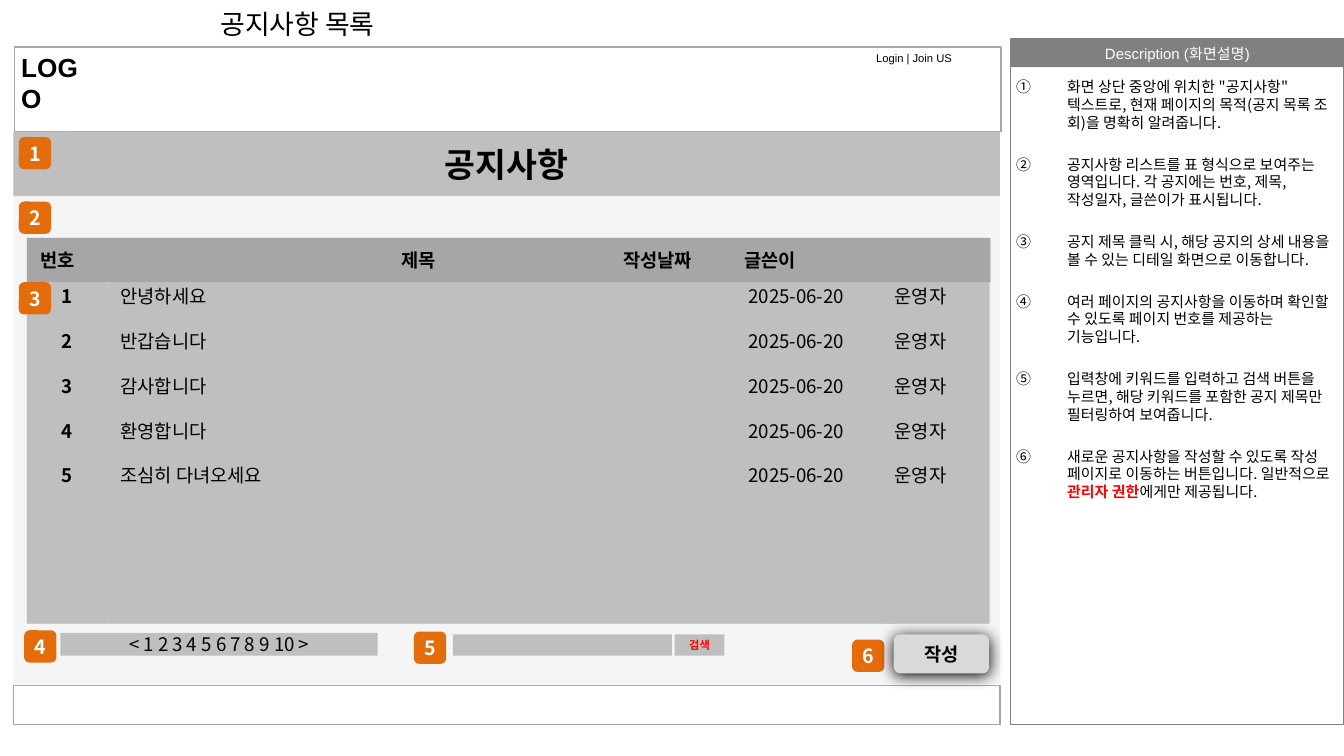
import pptx
import pptx.util
import pptx.dml.color
import pptx.enum.shapes
import pptx.enum.text
import pptx.oxml.ns
import lxml.etree

PX = 9144
KR = "Noto Sans CJK KR"
RECT = pptx.enum.shapes.MSO_SHAPE.RECTANGLE
ROUND = pptx.enum.shapes.MSO_SHAPE.ROUNDED_RECTANGLE
LEFT, CENTER = pptx.enum.text.PP_ALIGN.LEFT, pptx.enum.text.PP_ALIGN.CENTER
TOP, MIDDLE = pptx.enum.text.MSO_ANCHOR.TOP, pptx.enum.text.MSO_ANCHOR.MIDDLE

NOTICES = ["안녕하세요", "반갑습니다", "감사합니다", "환영합니다", "조심히 다녀오세요"]
DESCRIPTIONS = [
    ["화면 상단 중앙에 위치한 \"공지사항\" 텍스트로, 현재 페이지의 목적(공지 목록 조회)을 명확히 알려줍니다."],
    ["공지사항 리스트를 표 형식으로 보여주는 영역입니다. 각 공지에는 번호, 제목, 작성일자, 글쓴이가 표시됩니다."],
    ["공지 제목 클릭 시, 해당 공지의 상세 내용을 볼 수 있는 디테일 화면으로 이동합니다."],
    ["여러 페이지의 공지사항을 이동하며 확인할 수 있도록 페이지 번호를 제공하는 기능입니다."],
    ["입력창에 키워드를 입력하고 검색 버튼을 누르면, 해당 키워드를 포함한 공지 제목만 필터링하여 보여줍니다."],
    ["새로운 공지사항을 작성할 수 있도록 작성 페이지로 이동하는 버튼입니다. 일반적으로 ",
     "관리자 권한", "에게만 제공됩니다."],
]


def px(n):
    """Turn px into EMU."""
    return pptx.util.Emu(n * PX)


def rgb(value):
    """Turn a hex string into a colour."""
    return pptx.dml.color.RGBColor.from_string(value)


def sub(parent, tag, **attrs):
    """Append a DrawingML element with attributes."""
    el = lxml.etree.SubElement(parent, pptx.oxml.ns.qn(tag))
    for key, value in attrs.items():
        el.set(key, str(value))
    return el


def add_run(p, text, size, color="000000", bold=False, font=KR):
    """Add one formatted run."""
    r = p.add_run()
    r.text = text
    r.font.size, r.font.bold, r.font.name = pptx.util.Pt(size), bold, font
    r.font.color.rgb = rgb(color)
    sub(r.font._element, "a:ea", typeface=font)


def frame(sp, anchor=MIDDLE, margins=(10, 5, 10, 5), wrap=True):
    """Format a text frame and return it."""
    tf = sp.text_frame
    tf.word_wrap, tf.vertical_anchor = wrap, anchor
    tf.margin_left, tf.margin_top, tf.margin_right, tf.margin_bottom = map(px, margins)
    return tf


def box(s, x, y, w, h, fill=None, line=None, alpha=None, kind=RECT):
    """Add a flat preset shape."""
    sp = s.shapes.add_shape(kind, px(x), px(y), px(w), px(h))
    sp.shadow.inherit = False
    if fill:
        sp.fill.solid()
        sp.fill.fore_color.rgb = rgb(fill)
        if alpha:
            sub(sp.fill._xPr.find(".//" + pptx.oxml.ns.qn("a:srgbClr")), "a:alpha", val=alpha * 1000)
    else:
        sp.fill.background()
    if line:
        sp.line.color.rgb = rgb(line)
        sp.line.width = pptx.util.Pt(0.75)
    else:
        sp.line.fill.background()
    return sp


def write(sp, text, size, align=CENTER, margins=(10, 5, 10, 5), **style):
    """Write one middle-anchored line in a shape and return its paragraph."""
    p = frame(sp, margins=margins).paragraphs[0]
    p.alignment = align
    add_run(p, text, size, **style)
    return p


def badge(s, x, y, number):
    """Add a numbered orange marker."""
    sp = box(s, x, y, 24, 24, "E46C0A", kind=ROUND)
    write(sp, str(number), 10.5, margins=(0, 5, 0, 5), color="FFFFFF", bold=True)


def label(s, x, y, w, h, text, size, wrap, bold=False):
    """Add a small Arial text box."""
    sp = s.shapes.add_textbox(px(x), px(y), px(w), px(h))
    add_run(frame(sp, TOP, wrap=wrap).paragraphs[0], text, size, bold=bold, font="Arial")


def place_title(s, x, y, w, h):
    """Place the slide title."""
    sp = s.shapes.title
    sp.left, sp.top, sp.width, sp.height = map(px, (x, y, w, h))
    write(sp, "공지사항 목록", 14.4, LEFT)


def page_header(s, x, y, w):
    """Draw the site header and the page heading bar."""
    box(s, x, y, w, 63, "FFFFFF", "A6A6A6", 70)
    label(s, x - 5, y - 2, 74, 34, "LOGO", 14, True, bold=True)
    label(s, x + 631, y - 2, 78, 20, "Login | Join US", 6, False)
    write(box(s, x - 1, y + 63, w, 48, "BFBFBF"), "공지사항", 18, bold=True)
    badge(s, x + 3, y + 67, 1)


def notice_column(s, x, y, w, h, values, align=LEFT, bold=False):
    """Draw one list column with evenly spaced rows."""
    sp = box(s, x, y, w, h, "BFBFBF")
    tf = frame(sp, TOP, (10, 2, 10, 0))
    for i, value in enumerate(values):
        p = tf.paragraphs[0] if i == 0 else tf.add_paragraph()
        p.alignment = align
        p.space_after = pptx.util.Pt(12)
        add_run(p, value, 10, bold=bold)


def notice_list(s, x, y, w, h):
    """Draw the notice list with its heading row."""
    box(s, x, y, w, h, "D9D9D9")
    head = write(box(s, x, y, w, 33, "A6A6A6"),
                 "번호\t제목\t작성날짜\t글쓴이", 10, LEFT, bold=True)
    tabs = sub(head._p.get_or_add_pPr(), "a:tabLst")
    for pos in (269, 434, 524):
        sub(tabs, "a:tab", pos=px(pos), algn="l")
    n = len(NOTICES)
    top, depth = y + 33, h - 33
    notice_column(s, x, top, 60, depth, [str(i + 1) for i in range(n)], CENTER, True)
    notice_column(s, x + 60, top, 467, depth, NOTICES)
    notice_column(s, x + 527, top, 118, depth, ["2025-06-20"] * n)
    notice_column(s, x + 636, top, 80, depth, ["운영자"] * n)
    badge(s, x - 6, y - 27, 2)
    badge(s, x - 6, top, 3)


def list_controls(s, x, y):
    """Draw paging, search and the write button."""
    badge(s, x, y, 4)
    write(box(s, x + 27, y + 2, 236, 17, "BFBFBF"), "< 1 2 3 4 5 6 7 8 9 10 >", 10)
    badge(s, x + 290, y + 1, 5)
    box(s, x + 319, y + 3, 163, 16, "BFBFBF")
    write(box(s, x + 484, y + 3, 37, 16, "BFBFBF"), "검색", 6, color="FF0000", bold=True)
    badge(s, x + 616, y + 7, 6)
    button = box(s, x + 647, y + 3, 71, 29, "D9D9D9", kind=ROUND)
    write(button, "작성", 10, bold=True)
    effects = button._element.spPr.find(pptx.oxml.ns.qn("a:effectLst"))
    shadow = sub(effects, "a:outerShdw", blurRad=pptx.util.Pt(8.5), dist=pptx.util.Pt(1),
                 dir=5400000, algn="t", rotWithShape=0)
    sub(shadow, "a:srgbClr", val="000000")


def description_panel(s, x, y, w, h):
    """Draw the numbered screen description."""
    write(box(s, x, y, w, 21, "808080"), "Description (화면설명)", 8, color="FFFFFF", font="Arial")
    box(s, x, y, w, h, line="808080")
    sp = s.shapes.add_textbox(px(x), px(y + 24), px(w), px(h - 22))
    tf = frame(sp, TOP, (4, 5, 0, 5))
    for i, parts in enumerate(DESCRIPTIONS):
        p = tf.paragraphs[0] if i == 0 else tf.add_paragraph()
        p.line_spacing, p.space_after = pptx.util.Pt(9.5), pptx.util.Pt(13)
        pPr = p._p.get_or_add_pPr()
        pPr.set("marL", str(px(38)))
        pPr.set("indent", str(px(-38)))
        sub(pPr, "a:buFont", typeface=KR)
        sub(pPr, "a:buAutoNum", type="circleNumDbPlain")
        for j, part in enumerate(parts):
            add_run(p, part, 8, "FF0000" if j == 1 else "000000", j == 1)


def main():
    """Build the notice list screen."""
    prs = pptx.Presentation()
    prs.slide_width, prs.slide_height = px(1000), pptx.util.Inches(5.625)
    s = prs.slides.add_slide(prs.slide_layouts[5])
    place_title(s, 154, 2, 591, 32)
    box(s, 10, 99, 734, 410, "F2F2F2", alpha=70)
    page_header(s, 11, 35, 734)
    box(s, 10, 510, 734, 29, "FFFFFF", "A6A6A6", 70)
    notice_list(s, 20, 177, 717, 287)
    list_controls(s, 18, 469)
    description_panel(s, 752, 29, 248, 510)
    prs.save("out.pptx")


if __name__ == "__main__":
    main()
